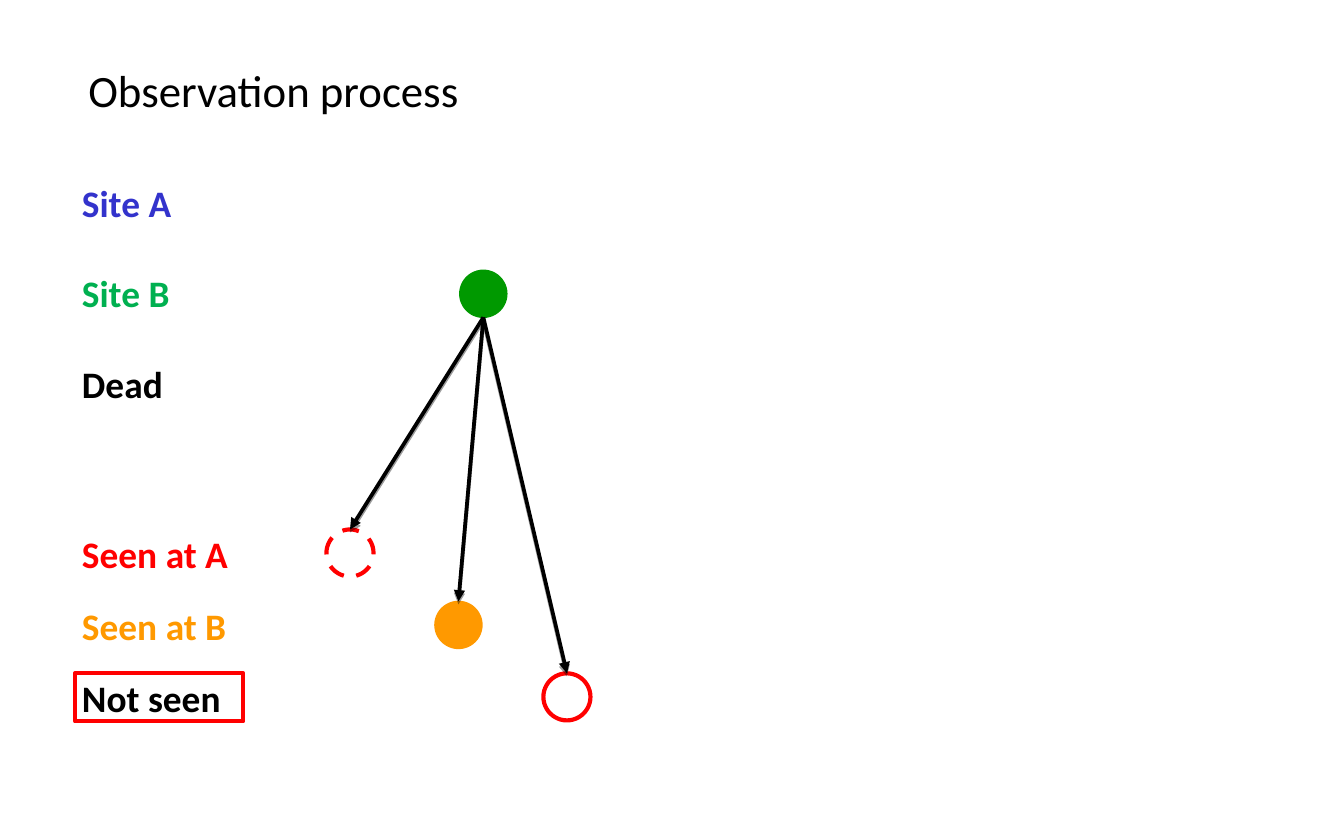
"""Build the slide that shows how an animal at one site may be seen."""
from dataclasses import dataclass

from lxml.etree import SubElement as Sub
from pptx import Presentation
from pptx.dml.color import RGBColor as Rgb
from pptx.enum.dml import MSO_LINE_DASH_STYLE as Dash
from pptx.enum.shapes import MSO_CONNECTOR_TYPE as Link, MSO_SHAPE as Form
from pptx.enum.text import MSO_AUTO_SIZE as Fit
from pptx.oxml.ns import qn
from pptx.util import Cm, Pt


@dataclass(frozen=True)
class Theme:
    font: str = "Calibri"
    head: int = 24
    body: int = 20
    thin: float = 0.75
    thick: float = 2.25
    stem: float = 2
    black: str = "000000"
    blue: str = "3333CC"
    green: str = "00B050"
    leaf: str = "009900"
    red: str = "FF0000"
    gold: str = "FF9900"


LOOK = Theme()
SIZE = 0.89


def apply(item, form):
    for name, value in form.items():
        setattr(item, name, value)


def add_text(slide, box, rows, size, gap=0, bold=False):
    frame = slide.shapes.add_textbox(*map(Cm, box)).text_frame
    apply(frame, {"word_wrap": False, "auto_size": Fit.SHAPE_TO_FIT_TEXT})
    for i, (words, color) in enumerate(rows):
        para = frame.paragraphs[0] if i == 0 else frame.add_paragraph()
        if i:
            para.space_before = Pt(gap)
        run = para.add_run()
        run.text = words
        apply(run.font, {"name": LOOK.font, "size": Pt(size), "bold": bold})
        run.font.color.rgb = Rgb.from_string(color)


def add_form(slide, kind, box, color, solid=False, dash=None):
    shape = slide.shapes.add_shape(kind, *map(Cm, box))
    shape.shadow.inherit = False
    if solid:
        shape.fill.solid()
        shape.fill.fore_color.rgb = Rgb.from_string(color)
    else:
        shape.fill.background()
    shape.line.color.rgb = Rgb.from_string(color)
    width = LOOK.thin if solid else LOOK.thick
    apply(shape.line, {"width": Pt(width), "dash_style": dash})
    return shape


def add_dot(slide, left, top, color, **form):
    return add_form(slide, Form.OVAL, (left, top, SIZE, SIZE), color, **form)


def add_arrow(slide, start, end):
    x = start.left + start.width // 2
    y = start.top + start.height
    arrow = slide.shapes.add_connector(Link.STRAIGHT, x, y, x, y)
    arrow.end_connect(end, 0)
    arrow.line.color.rgb = Rgb.from_string(LOOK.black)
    arrow.line.width = Pt(LOOK.stem)
    Sub(arrow.line._get_or_add_ln(), qn("a:tailEnd"), type="triangle")
    glow = Sub(arrow._element.spPr, qn("a:effectLst"))
    cast = Sub(glow, qn("a:outerShdw"), blurRad="0", dist=str(Pt(1.6)),
               dir="5400000", rotWithShape="0")
    tone = Sub(cast, qn("a:srgbClr"), val=LOOK.black)
    Sub(tone, qn("a:alpha"), val="38000")


def main():
    deck = Presentation()
    apply(deck, {"slide_width": Cm(25.4), "slide_height": Cm(15.88)})
    slide = deck.slides.add_slide(deck.slide_layouts[6])

    add_text(slide, (1.42, 1.07, 7.57, 1.27),
             [("Observation process", LOOK.black)], LOOK.head)
    states = [("Site A", LOOK.blue), ("Site B", LOOK.green),
              ("Dead", LOOK.black)]
    add_text(slide, (1.3, 3.28, 2.24, 4.52), states, LOOK.body, 24.4, True)
    events = [("Seen at A", LOOK.red), ("Seen at B", LOOK.gold),
              ("Not seen", LOOK.black)]
    add_text(slide, (1.3, 9.91, 3.3, 3.84), events, LOOK.body, 14.65, True)

    source = add_dot(slide, 8.69, 5.11, LOOK.leaf, solid=True)
    marks = [(LOOK.red, {"dash": Dash.DASH}), (LOOK.gold, {"solid": True}),
             (LOOK.red, {})]
    for i, (color, form) in enumerate(marks):
        dot = add_dot(slide, 6.17 + 2.05 * i, 10.01 + 1.36 * i, color, **form)
        add_arrow(slide, source, dot)
    add_form(slide, Form.RECTANGLE, (1.42, 12.73, 3.18, 0.91), LOOK.red)

    deck.save("out.pptx")


if __name__ == "__main__":
    main()
